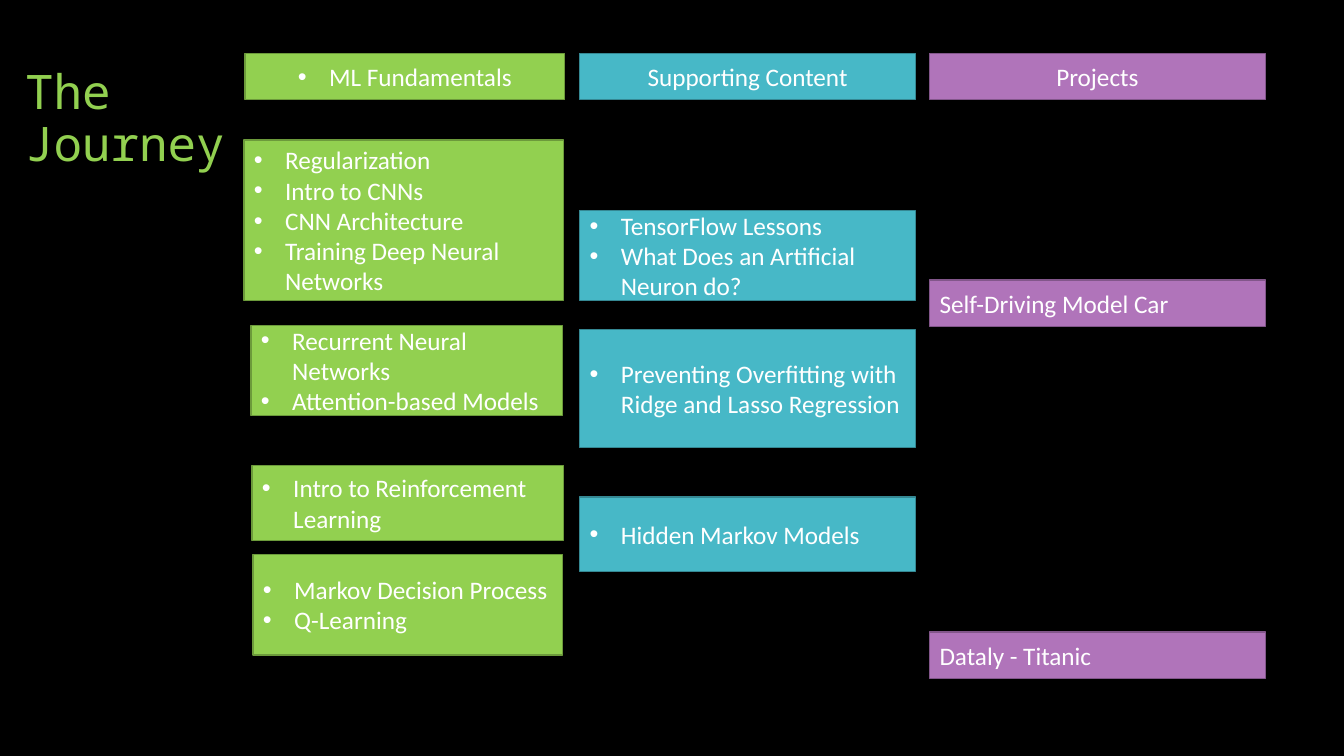
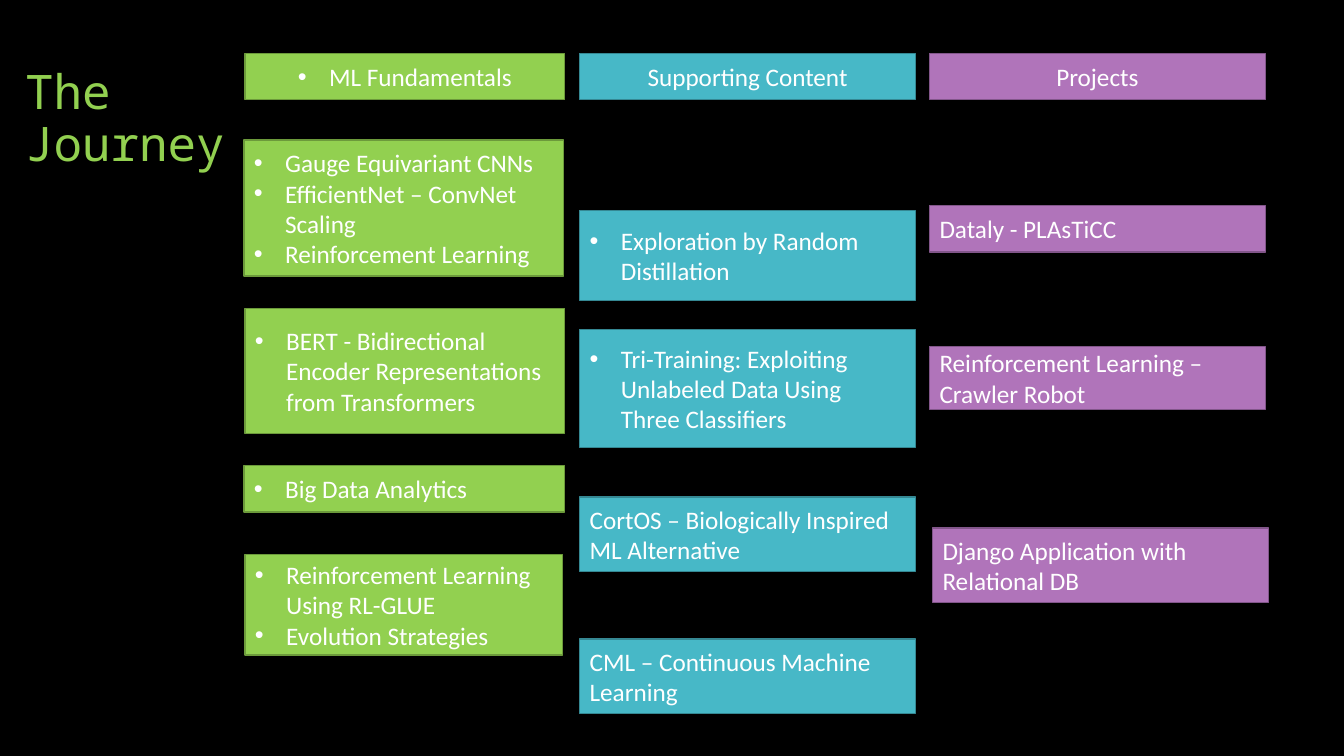
from dataclasses import dataclass

from lxml.etree import SubElement
from pptx import Presentation
from pptx.dml.color import RGBColor
from pptx.enum.shapes import MSO_SHAPE
from pptx.enum.text import MSO_ANCHOR, PP_ALIGN
from pptx.oxml.ns import qn
from pptx.util import Inches, Pt


@dataclass(frozen=True)
class Theme:
    back: str = "000000"
    text: str = "FFFFFF"
    accent: str = "92D050"
    title_font: str = "Noto Sans Mono"
    body_font: str = "Calibri"
    title_size: int = 34
    body_size: int = 18
    line_width: int = 1
    indent: float = 0.31


@dataclass(frozen=True)
class Column:
    heading: str
    left: float
    width: float
    fill: str
    line: str
    bulleted_heading: bool = False


@dataclass(frozen=True)
class Topic:
    column: Column
    top: float
    height: float
    lines: tuple
    bulleted: bool = True
    dx: float = 0
    dw: float = 0


THEME = Theme()
FUNDAMENTALS = Column("ML Fundamentals", 2.43, 3.17, THEME.accent, "6C9A3B", True)
SUPPORT = Column("Supporting Content", 5.75, 3.33, "47B8C7", "358893")
PROJECTS = Column("Projects", 9.22, 3.33, "B074BA", "82568A")
COLUMNS = (FUNDAMENTALS, SUPPORT, PROJECTS)

HEADING_TOP = 0.53
LOW, MID = 0.46, 0.74
SUPPORT_ROWS = ((2.09, 0.89), (3.27, 1.17), (4.93, MID), (6.34, MID))

FIRST = (
    Topic(FUNDAMENTALS, 1.39, 1.59, (
        "Regularization", "Intro to CNNs", "CNN Architecture",
        "Training Deep Neural Networks"), dx=-0.01),
    Topic(FUNDAMENTALS, 3.23, 0.89, (
        "Recurrent Neural Networks", "Attention-based Models"), dx=0.06, dw=-0.08),
    Topic(FUNDAMENTALS, 4.62, MID, ("Intro to Reinforcement Learning",),
          dx=0.07, dw=-0.08),
    Topic(FUNDAMENTALS, 5.5, 1, ("Markov Decision Process", "Q-Learning"),
          dx=0.08, dw=-0.1),
    Topic(SUPPORT, *SUPPORT_ROWS[0], (
        "TensorFlow Lessons", "What Does an Artificial Neuron do?")),
    Topic(SUPPORT, *SUPPORT_ROWS[1], (
        "Preventing Overfitting with Ridge and Lasso Regression",)),
    Topic(SUPPORT, *SUPPORT_ROWS[2], ("Hidden Markov Models",)),
    Topic(PROJECTS, 2.78, LOW, ("Self-Driving Model Car",), bulleted=False),
    Topic(PROJECTS, 6.27, LOW, ("Dataly - Titanic",), bulleted=False),
)

SECOND = (
    Topic(FUNDAMENTALS, 1.39, 1.35, (
        "Gauge Equivariant CNNs", "EfficientNet – ConvNet Scaling",
        "Reinforcement Learning"), dx=-0.01),
    Topic(FUNDAMENTALS, 3.06, 1.24, (
        "BERT - Bidirectional Encoder Representations from Transformers",)),
    Topic(FUNDAMENTALS, 4.62, LOW, ("Big Data Analytics",), dx=-0.01, dw=0.01),
    Topic(FUNDAMENTALS, 5.5, 1, (
        "Reinforcement Learning Using RL-GLUE", "Evolution Strategies"), dw=-0.02),
    Topic(SUPPORT, *SUPPORT_ROWS[0], ("Exploration by Random Distillation",)),
    Topic(SUPPORT, *SUPPORT_ROWS[1], (
        "Tri-Training: Exploiting Unlabeled Data Using Three Classifiers",)),
    Topic(SUPPORT, *SUPPORT_ROWS[2], (
        "CortOS – Biologically Inspired ML Alternative",), bulleted=False),
    Topic(SUPPORT, *SUPPORT_ROWS[3], (
        "CML – Continuous Machine Learning",), bulleted=False),
    Topic(PROJECTS, 2.04, LOW, ("Dataly - PLAsTiCC",), bulleted=False),
    Topic(PROJECTS, 3.44, 0.62, (
        "Reinforcement Learning – Crawler Robot",), bulleted=False),
    Topic(PROJECTS, 5.24, MID, (
        "Django Application with Relational DB",), bulleted=False, dx=0.03),
)


def rgb(value):
    return RGBColor.from_string(value)


def add_bullet(p):
    pPr = p._p.get_or_add_pPr()
    indent = Inches(THEME.indent)
    pPr.set("marL", str(indent))
    pPr.set("indent", str(-indent))
    SubElement(pPr, qn("a:buFont")).set("typeface", "Arial")
    SubElement(pPr, qn("a:buChar")).set("char", "•")


def write(tf, lines, *, size=THEME.body_size, font=THEME.body_font,
          color=THEME.text, align=PP_ALIGN.LEFT, anchor=MSO_ANCHOR.MIDDLE,
          bulleted=False, spacing=None):
    tf.word_wrap = True
    tf.vertical_anchor = anchor
    for i, line in enumerate(lines):
        p = tf.add_paragraph() if i else tf.paragraphs[0]
        p.alignment = align
        if spacing:
            p.line_spacing = spacing
        if bulleted:
            add_bullet(p)
        r = p.add_run()
        r.text = line
        r.font.size = Pt(size)
        r.font.name = font
        r.font.color.rgb = rgb(color)


def add_title(s, text):
    tb = s.shapes.add_textbox(Inches(0.15), Inches(0.5), Inches(3), Inches(1.25))
    write(tb.text_frame, [text], size=THEME.title_size, font=THEME.title_font,
          color=THEME.accent, anchor=MSO_ANCHOR.BOTTOM, spacing=0.9)


def add_topic(s, topic, align=PP_ALIGN.LEFT):
    col = topic.column
    sp = s.shapes.add_shape(
        MSO_SHAPE.RECTANGLE, Inches(col.left + topic.dx), Inches(topic.top),
        Inches(col.width + topic.dw), Inches(topic.height))
    sp.shadow.inherit = False
    sp.fill.solid()
    sp.fill.fore_color.rgb = rgb(col.fill)
    sp.line.color.rgb = rgb(col.line)
    sp.line.width = Pt(THEME.line_width)
    write(sp.text_frame, topic.lines, align=align, bulleted=topic.bulleted)


def add_journey(prs, topics):
    s = prs.slides.add_slide(prs.slide_layouts[6])
    add_title(s, "The Journey")
    for col in COLUMNS:
        heading = Topic(col, HEADING_TOP, LOW, (col.heading,), col.bulleted_heading)
        add_topic(s, heading, PP_ALIGN.CENTER)
    for topic in topics:
        add_topic(s, topic)


def main():
    prs = Presentation()
    prs.slide_width, prs.slide_height = Inches(13.33), Inches(7.5)
    fill = prs.slide_master.background.fill
    fill.solid()
    fill.fore_color.rgb = rgb(THEME.back)
    for topics in (FIRST, SECOND):
        add_journey(prs, topics)
    prs.save("out.pptx")


main()
